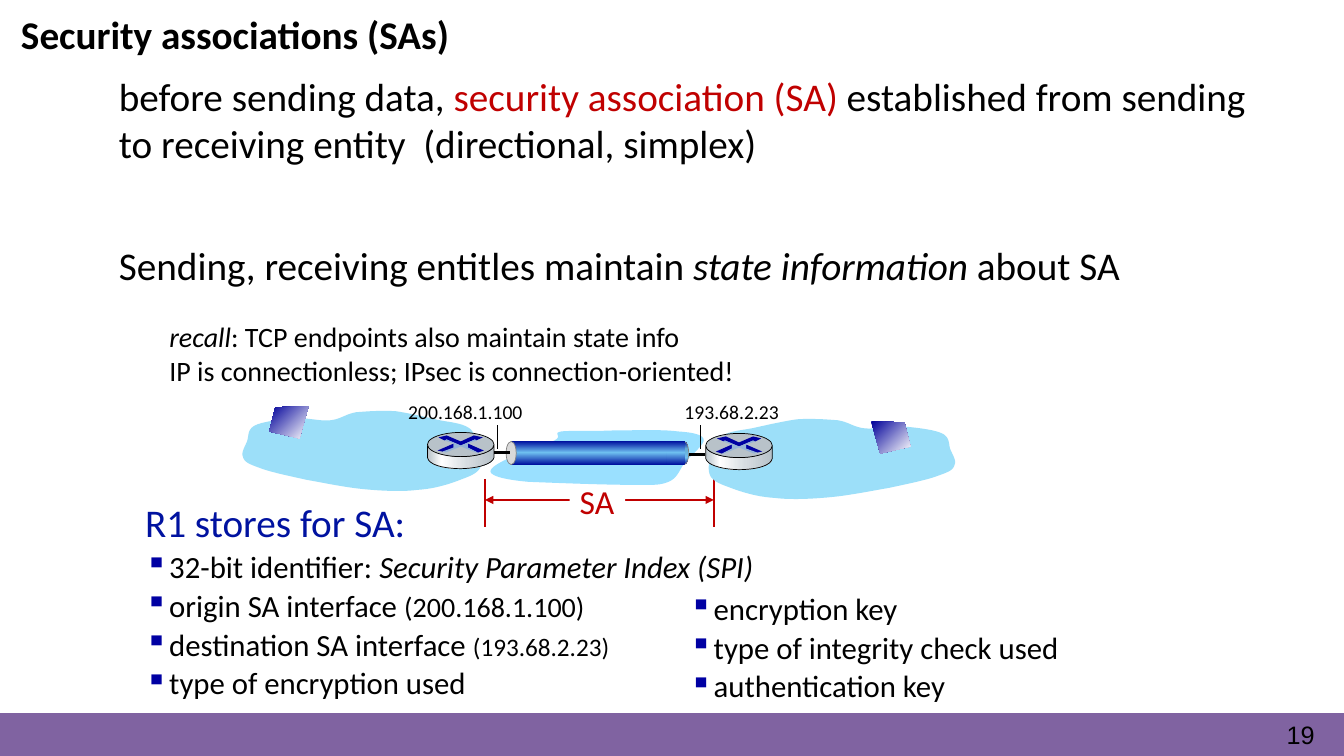
from lxml.etree import SubElement
from pptx import Presentation
from pptx.dml.color import RGBColor
from pptx.enum.shapes import MSO_CONNECTOR, MSO_SHAPE
from pptx.oxml.ns import qn
from pptx.util import Inches, Pt

THEME = {
    "font": "Calibri", "number_font": "Arial",
    "black": "000000", "white": "FFFFFF", "red": "C00000", "blue": "0012A0",
    "bullet": "0000A3", "footer": "8063A1", "cloud": "9CDFF9", "link_cloud": "9AE0FF",
    "metal": "B8C2C9", "arrow": "0000A3", "shade": "95B3D7", "cap": "D9D9D9", "cap_line": "808080",
    "rim": ([(0, "B8C2C9"), (21, "FFFFFF"), (60, "D6DCE0"), (100, "B8C2C9")], 0),
    "computer": ([(0, "000099"), (100, "FFFFFF")], 45),
    "pipe": ([(0, "0012A0"), (52, "6EBFF0"), (100, "0012A0")], 270),
    "pipe_end": ([(0, "0012A0"), (29, "6EBFF0"), (69, "66ACD3"), (99, "0012A0")], 270),
    "heading": 28, "item": 22, "small": 20, "tiny": 18, "label": 14, "sa": 24,
}

# Text: a paragraph is (runs, options); a run is (text, size, colour, italic)
TITLE = "Security associations (SAs)"
MAIN = [
    ([("before sending data, ", "heading", "black", False),
      ("security association (SA) ", "heading", "red", False),
      ("established from sending to receiving entity  (directional, simplex)",
       "heading", "black", False)], {}),
    ([("Sending, receiving entitles maintain ", "heading", "black", False),
      ("state information", "heading", "black", True),
      (" about SA", "heading", "black", False)], {"before": 53.5}),
    ([("recall", "small", "black", True),
      (": TCP endpoints also maintain state info", "small", "black", False)],
     {"before": 22, "margin": 0.5}),
    ([("IP is connectionless; IPsec is connection-oriented!", "small", "black", False)],
     {"margin": 0.5}),
]
STORED_HEADING = "R1 stores for SA:"
STORED = [
    [("32-bit identifier: ", "item", "black", False),
     ("Security Parameter Index (SPI)", "item", "black", True)],
    [("origin SA interface ", "item", "black", False), ("(200.168.1.100)", "small", "black", False)],
    [("destination SA interface ", "item", "black", False), ("(193.68.2.23)", "tiny", "black", False)],
    [("type of encryption used", "item", "black", False)],
]
STORED_MORE = ["encryption key", "type of integrity check used", "authentication key"]
ADDRESSES = [("193.68.2.23", 6.69, 1.15), ("200.168.1.100", 3.95, 1.35)]

# Outlines: two numbers are a corner, six are a Bezier curve
CLOUD = [
    (3.53, 4.09), (3.42, 4.11, 3.38, 4.16, 3.27, 4.17), (3.17, 4.18, 3.04, 4.14, 2.92, 4.15),
    (2.8, 4.16, 2.61, 4.18, 2.53, 4.22), (2.45, 4.26, 2.47, 4.33, 2.45, 4.38),
    (2.43, 4.43, 2.39, 4.49, 2.41, 4.53), (2.42, 4.58, 2.46, 4.6, 2.57, 4.64),
    (2.67, 4.68, 2.86, 4.72, 3.04, 4.76), (3.21, 4.79, 3.4, 4.83, 3.58, 4.85),
    (3.77, 4.87, 3.99, 4.88, 4.14, 4.86), (4.3, 4.85, 4.43, 4.81, 4.54, 4.77),
    (4.64, 4.73, 4.75, 4.7, 4.77, 4.62), (4.8, 4.53, 4.74, 4.34, 4.67, 4.26),
    (4.59, 4.19, 4.44, 4.19, 4.32, 4.16), (4.19, 4.13, 4.06, 4.1, 3.93, 4.08),
    (3.8, 4.07, 3.64, 4.08, 3.53, 4.09)]
LINK_CLOUD = [
    (6.98, 4.36), (6.97, 4.31, 6.87, 4.29, 6.72, 4.28), (6.58, 4.26, 6.29, 4.27, 6.1, 4.27),
    (5.9, 4.28, 5.67, 4.27, 5.57, 4.28), (5.47, 4.3, 5.59, 4.32, 5.5, 4.37),
    (5.41, 4.41, 5.16, 4.49, 5.06, 4.54), (4.95, 4.59, 4.84, 4.65, 4.87, 4.69),
    (4.9, 4.73, 5.02, 4.76, 5.24, 4.78), (5.47, 4.79, 6, 4.81, 6.23, 4.81),
    (6.46, 4.81, 6.54, 4.82, 6.63, 4.78), (6.73, 4.74, 6.74, 4.65, 6.8, 4.58),
    (6.86, 4.51, 6.99, 4.41, 6.98, 4.36)]
ROUTER_RIM = [
    (4.9, 4.42), (4.9, 4.54), (4.88, 4.62, 4.68, 4.65, 4.57, 4.65),
    (4.46, 4.65, 4.26, 4.63, 4.24, 4.54), (4.24, 4.42),
    (4.27, 4.49, 4.46, 4.53, 4.57, 4.53), (4.68, 4.53, 4.87, 4.5, 4.9, 4.42)]
ROUTER_MARKS = [
    ("arrow", [(4.7, 4.32), (4.79, 4.34), (4.72, 4.37), (4.71, 4.36), (4.57, 4.42), (4.43, 4.36),
               (4.41, 4.37), (4.35, 4.34), (4.43, 4.32), (4.57, 4.38)]),
    ("arrow", [(4.64, 4.4), (4.8, 4.47), (4.74, 4.49), (4.64, 4.44)]),
    ("arrow", [(4.5, 4.4), (4.5, 4.45), (4.39, 4.48), (4.34, 4.47)]),
    ("shade", [(4.41, 4.37), (4.43, 4.36), (4.57, 4.42), (4.71, 4.36), (4.73, 4.37), (4.64, 4.4),
               (4.64, 4.44), (4.74, 4.49), (4.72, 4.49), (4.57, 4.43), (4.42, 4.49),
               (4.39, 4.48), (4.5, 4.44), (4.5, 4.4)]),
]
COMPUTER = [(3.06, 4.03), (2.73, 4.04), (2.67, 4.28), (2.97, 4.35)]

deck = Presentation()
deck.slide_width, deck.slide_height = Inches(13.33), Inches(7.5)
page = deck.slides.add_slide(deck.slide_layouts[6])


def colour(name):
    return RGBColor.from_string(THEME[name])


def paint(shape, fill, line=None, width=0.5):
    shape.shadow.inherit = False
    if isinstance(THEME[fill], str):
        shape.fill.solid()
        shape.fill.fore_color.rgb = colour(fill)
    else:
        stops, angle = THEME[fill]
        shape.fill.gradient()
        gradient = shape._element.spPr.find(qn("a:gradFill"))
        stop_list = gradient.find(qn("a:gsLst"))
        for stop in list(stop_list):
            stop_list.remove(stop)
        for position, value in stops:
            stop = SubElement(stop_list, qn("a:gs"), pos=str(position * 1000))
            SubElement(stop, qn("a:srgbClr"), val=value)
        gradient.find(qn("a:lin")).set("ang", str(angle * 60000))
    if line:
        shape.line.color.rgb = colour(line)
        shape.line.width = Pt(width)
    else:
        shape.line.fill.background()
    return shape


def add_preset(kind, left, top, width, height, fill, line=None):
    shape = page.shapes.add_shape(kind, Inches(left), Inches(top), Inches(width), Inches(height))
    return paint(shape, fill, line)


def add_outline(outline, fill, line=None, scale=1, shift=0, drop=0, steps=10):
    points = [outline[0]]
    for part in outline[1:]:
        if len(part) == 2:
            points.append(part)
            continue
        start = points[-1]
        for step in range(1, steps + 1):
            t = step / steps
            weights = ((1 - t) ** 3, 3 * t * (1 - t) ** 2, 3 * t * t * (1 - t), t ** 3)
            knots = (start, part[:2], part[2:4], part[4:])
            points.append(tuple(sum(w * k[axis] for w, k in zip(weights, knots)) for axis in (0, 1)))
    placed = [(Inches(x * scale + shift), Inches(y + drop)) for x, y in points]
    builder = page.shapes.build_freeform(*placed[0])
    builder.add_line_segments(placed[1:], close=True)
    return paint(builder.convert_to_shape(), fill, line)


def add_line(x1, y1, x2, y2, name, width, arrows=False):
    line = page.shapes.add_connector(MSO_CONNECTOR.STRAIGHT, *map(Inches, (x1, y1, x2, y2)))
    line.line.color.rgb = colour(name)
    line.line.width = Pt(width)
    if arrows:
        for end in ("a:headEnd", "a:tailEnd"):
            SubElement(line.line._get_or_add_ln(), qn(end), type="triangle")
    SubElement(line._element.spPr, qn("a:effectLst"))


def add_text(left, top, width, height, paragraphs, inset=True, wrap=True, font="font", bold=False):
    box = page.shapes.add_textbox(Inches(left), Inches(top), Inches(width), Inches(height))
    frame = box.text_frame
    frame.word_wrap = wrap
    if not inset:
        frame.margin_left = frame.margin_right = frame.margin_top = frame.margin_bottom = 0
    for index, (runs, options) in enumerate(paragraphs):
        para = frame.paragraphs[0] if index == 0 else frame.add_paragraph()
        properties = para._p.get_or_add_pPr()
        properties.set("marL", str(Inches(options.get("margin", 0))))
        properties.set("indent", str(Inches(options.get("indent", 0))))
        if "spacing" in options:
            para.line_spacing = options["spacing"]
        if index and "before" in options:
            para.space_before = Pt(options["before"])
        if options.get("bullet"):
            SubElement(SubElement(properties, qn("a:buClr")), qn("a:srgbClr"), val=THEME["bullet"])
            SubElement(properties, qn("a:buChar"), char="▪")
        for text, size, name, italic in runs:
            span = para.add_run()
            span.text = text
            span.font.name, span.font.size = THEME[font], Pt(THEME[size])
            span.font.color.rgb = colour(name)
            span.font.bold, span.font.italic = bold, italic


# Footer and page number
add_preset(MSO_SHAPE.RECTANGLE, 0, 7.08, 13.33, 0.42, "footer", "footer")
add_text(12.58, 7.15, 0.71, 0.31,
         [([("19", "tiny", "black", False)], {"margin": 0.18, "spacing": Pt(20.9)})],
         inset=False, font="number_font")

# SA span between the two routers
for x in (4.81, 7.08):
    add_line(x, 4.75, x, 5.23, "red", 1.75)
add_line(4.81, 4.96, 7.08, 4.96, "red", 1.75, arrows=True)
add_preset(MSO_SHAPE.RECTANGLE, 5.65, 4.72, 0.55, 0.5, "white")
add_text(5.65, 4.72, 0.55, 0.5, [([("SA", "sa", "red", False)], {})], wrap=False)

# Networks, the right one mirrored
add_outline(CLOUD, "cloud", scale=-1.03, shift=11.95, drop=0.08)
add_outline(CLOUD, "cloud")
add_outline(LINK_CLOUD, "link_cloud")

# Routers and computers, the right ones mirrored
for scale, router_shift, router_drop, computer_shift, computer_drop in (
        (1, 0, 0, 0, 0), (-1, 11.9, 0.01, 11.7, 0.15)):
    router = {"scale": scale, "shift": router_shift, "drop": router_drop}
    add_outline(ROUTER_RIM, "rim", "black", **router)
    center = 4.57 * scale + router_shift
    add_preset(MSO_SHAPE.OVAL, center - 0.33, 4.29 + router_drop, 0.66, 0.24, "metal", "black")
    for fill, mark in ROUTER_MARKS:
        add_outline(mark, fill, **router)
    add_outline(COMPUTER, "computer", scale=scale, shift=computer_shift, drop=computer_drop)

# Tunnel
add_preset(MSO_SHAPE.RECTANGLE, 5.07, 4.38, 1.72, 0.23, "pipe")
add_preset(MSO_SHAPE.OVAL, 5.02, 4.38, 0.1, 0.23, "cap", "cap_line")
add_preset(MSO_SHAPE.OVAL, 6.74, 4.38, 0.09, 0.23, "pipe_end", "cap_line")
add_preset(MSO_SHAPE.RECTANGLE, 6.61, 4.38, 0.18, 0.23, "pipe")
add_line(4.9, 4.49, 5.06, 4.49, "black", 1.75)
add_line(6.83, 4.51, 6.99, 4.51, "black", 1.75)

# Interface addresses
for address, left, width in ADDRESSES:
    add_text(left, 3.92, width, 0.34, [([(address, "label", "black", False)], {})], wrap=False)
for x in (6.95, 4.93):
    add_line(x, 4.45, x, 4.22, "black", 0.75)

# Stored state, in two columns
heading = {"margin": 0.39, "indent": -0.24, "spacing": 0.9}
item = {**heading, "before": 4, "bullet": True}
add_text(1.19, 4.95, 8.93, 2.14, [([(STORED_HEADING, "heading", "blue", False)], heading)]
         + [(runs, item) for runs in STORED])
add_text(6.59, 5.84, 4.61, 1.29,
         [([(text, "item", "black", False)], item) for text in STORED_MORE])

# Main text and title
add_text(1.18, 0.72, 11.56, 3.2, MAIN, inset=False)
add_text(0.11, 0.05, 6.68, 0.57, [([(TITLE, "heading", "black", False)], {})], bold=True)

deck.save("out.pptx")
